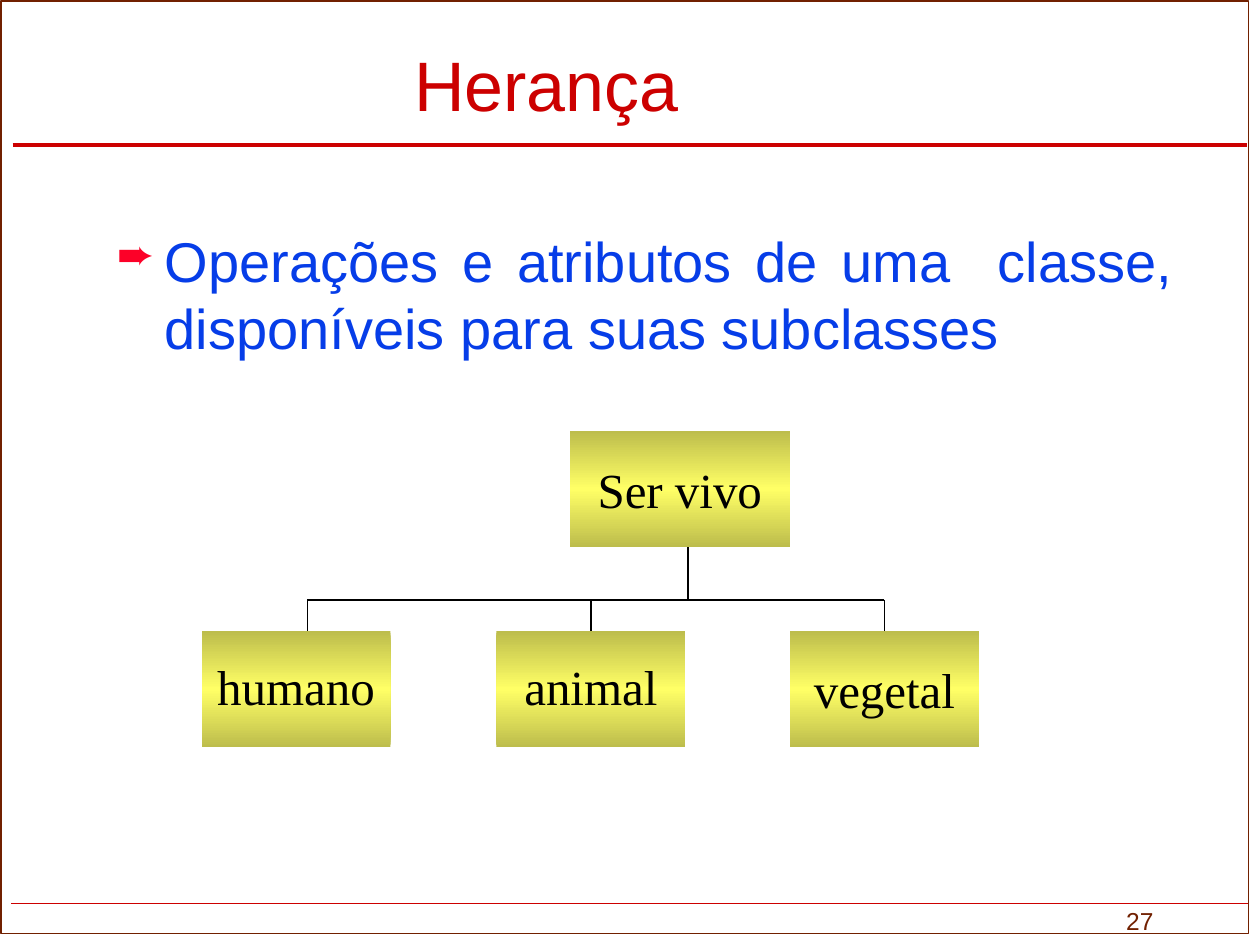
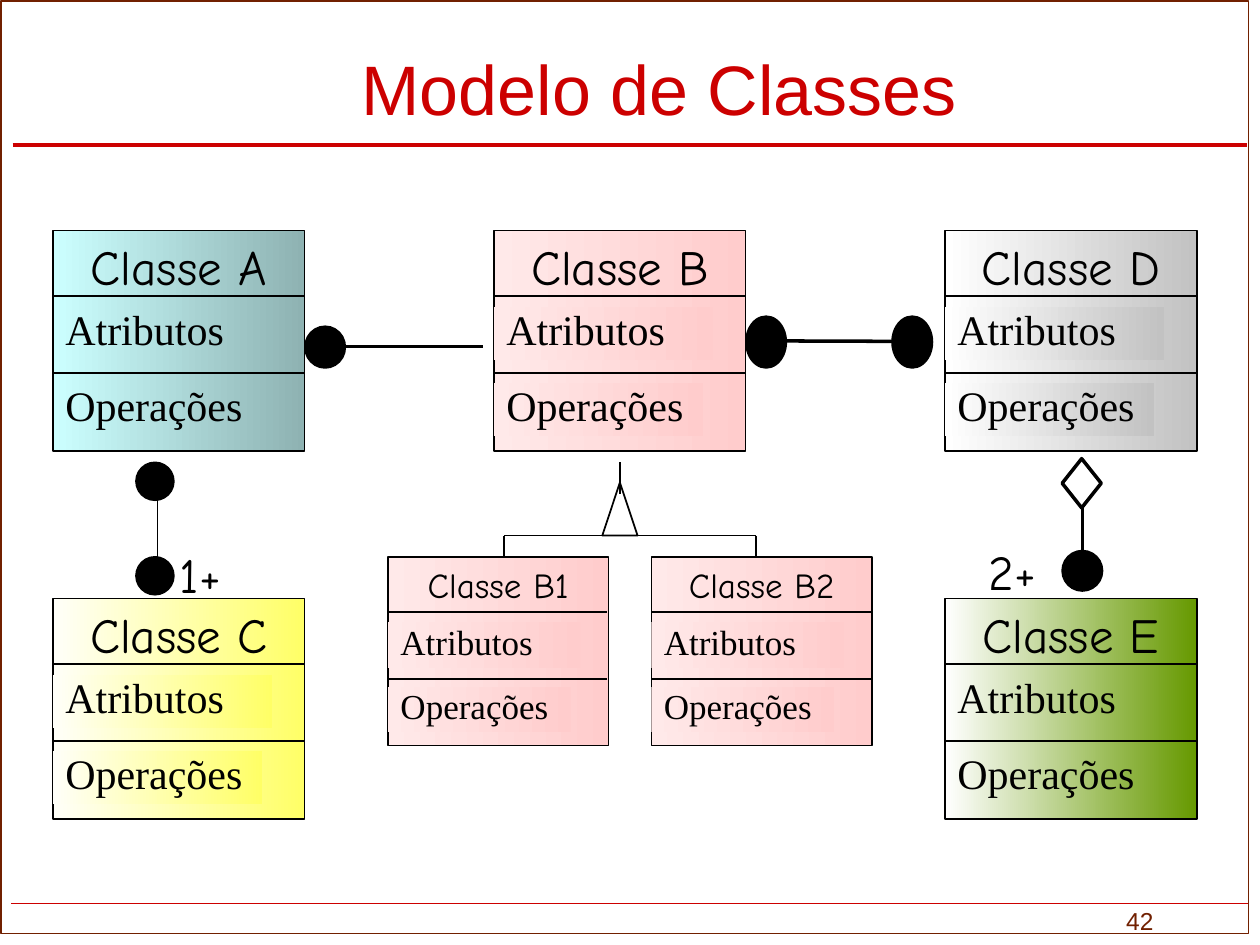
"""Builds two slides on inheritance and class models."""
from copy import deepcopy

from lxml import etree
from pptx import Presentation
from pptx.dml.color import RGBColor
from pptx.enum.shapes import MSO_CONNECTOR, MSO_SHAPE
from pptx.enum.text import MSO_ANCHOR, PP_ALIGN
from pptx.oxml.ns import qn
from pptx.util import Inches, Pt

RECT, OVAL = MSO_SHAPE.RECTANGLE, MSO_SHAPE.OVAL
DIAMOND, TRIANGLE = MSO_SHAPE.DIAMOND, MSO_SHAPE.ISOSCELES_TRIANGLE
STRAIGHT = MSO_CONNECTOR.STRAIGHT
LEFT, CENTER, JUSTIFY = PP_ALIGN.LEFT, PP_ALIGN.CENTER, PP_ALIGN.JUSTIFY
TOP, MIDDLE = MSO_ANCHOR.TOP, MSO_ANCHOR.MIDDLE

SANS, SERIF, COMIC = "Arial", "Times New Roman", "Comic Neue"
BLACK = RGBColor(0x00, 0x00, 0x00)
WHITE = RGBColor(0xFF, 0xFF, 0xFF)
RED = RGBColor(0xCC, 0x00, 0x00)
BROWN = RGBColor(0x71, 0x20, 0x00)
BLUE = RGBColor(0x06, 0x3D, 0xE8)
OLIVE = RGBColor(0xBD, 0xBD, 0x4C)
YELLOW = RGBColor(0xFF, 0xFF, 0x66)
CREAM = RGBColor(0xFF, 0xFF, 0xF9)
CYAN = RGBColor(0xCC, 0xFF, 0xFF)
TEAL = RGBColor(0x8E, 0xB2, 0xB2)
GREY = RGBColor(0xC2, 0xC2, 0xC2)
GREEN = RGBColor(0x66, 0x99, 0x00)
BLUSH = RGBColor(0xFF, 0xE9, 0xE9)
PINK = RGBColor(0xFF, 0xCC, 0xCC)


def draw(s, kind, at, fill=None, line=BLACK, width=1, angle=0):
    """Draw a connector (at = two ends), text box (kind None) or filled shape."""
    box = [Inches(v) for v in at]
    if kind is None:
        return s.shapes.add_textbox(*box)
    if kind is STRAIGHT:
        sp = s.shapes.add_connector(kind, *box)
        etree.SubElement(sp._element.spPr, qn("a:effectLst"))
    else:
        sp = s.shapes.add_shape(kind, *box)
        sp.shadow.inherit = False
        if fill is None:
            sp.fill.background()
        elif isinstance(fill, RGBColor):
            sp.fill.solid()
            sp.fill.fore_color.rgb = fill
        else:
            sp.fill.gradient()
            sp.fill.gradient_angle = angle
            stops = sp._element.spPr.find(".//" + qn("a:gsLst"))
            if len(fill) == 3:
                stops.insert(1, deepcopy(stops[0]))
            for i, (stop, color) in enumerate(zip(sp.fill.gradient_stops, fill)):
                stop.position = i / (len(fill) - 1)
                stop.color.rgb = color
    if line is None:
        sp.line.fill.background()
    else:
        sp.line.color.rgb = line
        sp.line.width = Pt(width)
    return sp


def write(sp, text, size, font, color=BLACK, align=LEFT, anchor=TOP,
          spacing=None, wrap=True, bullet=None):
    """Put one formatted paragraph into a shape."""
    tf = sp.text_frame
    tf.word_wrap = wrap
    tf.vertical_anchor = anchor
    p = tf.paragraphs[0]
    p.alignment = align
    if spacing:
        p.line_spacing = spacing
    if bullet:
        pPr = p._p.get_or_add_pPr()
        pPr.set("marL", str(Inches(0.38)))
        pPr.set("indent", str(-Inches(0.38)))
        clr = etree.SubElement(pPr, qn("a:buClr"))
        etree.SubElement(clr, qn("a:srgbClr"), val="FC0128")
        etree.SubElement(pPr, qn("a:buSzPct"), val="80000")
        etree.SubElement(pPr, qn("a:buChar"), char=bullet)
    r = p.add_run()
    r.text = text
    r.font.size = Pt(size)
    r.font.name = font
    r.font.color.rgb = color


prs = Presentation()
prs.slide_width, prs.slide_height = Inches(10), Inches(7.5)

slides = []
for title, title_at, number in [
    ("Herança", (1.42, 0.1, 5.83, 1.13), "27"),
    ("Modelo de Classes", (2.08, 0.17, 6.3, 1.05), "42"),
]:
    s = prs.slides.add_slide(prs.slide_layouts[6])
    draw(s, STRAIGHT, (0.1, 1.15, 9.9, 1.15), line=RED, width=2)
    write(draw(s, None, (8.84, 7.14, 1.16, 0.36)), number, 14, SANS, BROWN)
    draw(s, STRAIGHT, (0.09, 7.17, 9.91, 7.17), line=RED)
    draw(s, RECT, (0.01, 0.01, 9.9, 7.4), line=BROWN)
    write(draw(s, None, title_at), title, 40, SANS, RED, CENTER, MIDDLE)
    slides.append(s)
heritage, model = slides

write(draw(heritage, None, (0.83, 1.75, 8.58, 1.5)),
      "Operações e atributos de uma  classe, disponíveis para suas subclasses",
      32, SANS, BLUE, JUSTIFY, bullet="➨")
draw(heritage, STRAIGHT, (5.46, 4.17, 5.46, 4.76))
draw(heritage, STRAIGHT, (2.44, 4.76, 7.02, 4.76))
draw(heritage, STRAIGHT, (2.44, 4.76, 2.44, 5.92))
beings = {}
for name, x, y, w, spacing in [
    ("Ser vivo", 4.52, 3.42, 1.75, None),
    ("humano", 1.6, 5.01, 1.5, 0.9),
    ("animal", 3.94, 5.01, 1.5, 0.9),
    ("vegetal", 6.27, 5.01, 1.5, None),
]:
    sp = draw(heritage, RECT, (x, y, w, 0.92), (OLIVE, YELLOW, OLIVE), None, angle=90)
    write(sp, name, 28, SERIF, align=CENTER, anchor=MIDDLE, spacing=spacing, wrap=False)
    beings[name] = sp
for name, x in [("animal", 4.69), ("vegetal", 7.02)]:
    branch = draw(heritage, STRAIGHT, (x, 4.76, x, 5.01))
    branch.end_connect(beings[name], 0)

LARGE = dict(w=2, h=1.75, head=28, size=24, row_h=0.42, rules=(0.52, 1.13),
             rows=(("Operações", 1.21, 1.66), ("Atributos", 0.61, 1.74)))
SMALL = dict(w=1.75, h=1.5, head=20, size=20, row_h=0.36, rules=(0.44, 0.97),
             rows=(("Operações", 1.03, 1.45), ("Atributos", 0.52, 1.53)))
classes = {}
for name, x, y, form, colors, filled_rows in [
    ("Classe A", 0.42, 1.83, LARGE, (CYAN, TEAL), False),
    ("Classe C", 0.42, 4.75, LARGE, (CREAM, YELLOW), True),
    ("Classe D", 7.5, 1.83, LARGE, (WHITE, GREY), True),
    ("Classe E", 7.5, 4.75, LARGE, (WHITE, GREEN), False),
    ("Classe B2", 5.17, 4.42, SMALL, (BLUSH, PINK), True),
    ("Classe B1", 3.08, 4.42, SMALL, (BLUSH, PINK), True),
    ("Classe B", 3.92, 1.83, LARGE, (BLUSH, PINK), True),
]:
    sp = draw(model, RECT, (x, y, form["w"], form["h"]), colors, width=0.75)
    write(sp, name, form["head"], COMIC, align=CENTER, wrap=False)
    classes[name] = sp
    for label, dy, w in form["rows"]:
        row = draw(model, RECT if filled_rows else None,
                   (x, y + dy, w, form["row_h"]), colors, None)
        write(row, label, form["size"], SERIF, spacing=0.8)
    for dy in form["rules"]:
        draw(model, STRAIGHT, (x, y + dy, x + form["w"] - 0.01, y + dy))

for text, at in [("1+", (1.33, 4.27, 0.58, 0.56)), ("2+", (7.75, 4.25, 0.76, 0.56))]:
    write(draw(model, None, at), text, 28, COMIC)

for ends, width in [
    ((8.59, 3.72, 8.59, 4.68), 2),
    ((2.43, 2.75, 3.83, 2.75), 2),
    ((1.25, 3.92, 1.25, 4.5), 1),
    ((4, 4.25, 6, 4.25), 1),
    ((4, 4.25, 4, 4.42), 1),
    ((6, 4.25, 6, 4.42), 1),
]:
    draw(model, STRAIGHT, ends, width=width)
link = draw(model, STRAIGHT, (5.92, 2.71, 7.31, 2.71), width=2)
link.begin_connect(classes["Classe B"], 3)

for kind, at, fill, width in [
    (DIAMOND, (8.43, 3.64, 0.31, 0.39), WHITE, 2),
    (OVAL, (8.43, 4.37, 0.32, 0.32), BLACK, 1),
    (OVAL, (7.08, 2.51, 0.32, 0.41), BLACK, 1),
    (OVAL, (5.92, 2.51, 0.32, 0.41), BLACK, 1),
    (OVAL, (2.42, 2.59, 0.32, 0.33), BLACK, 1),
    (OVAL, (1.08, 3.67, 0.3, 0.3), BLACK, 1),
    (OVAL, (1.08, 4.42, 0.3, 0.3), BLACK, 1),
    (TRIANGLE, (4.78, 3.83, 0.28, 0.42), WHITE, 1),
]:
    draw(model, kind, at, fill, width=width)
draw(model, STRAIGHT, (4.92, 3.92, 4.92, 3.67))

prs.save("out.pptx")
